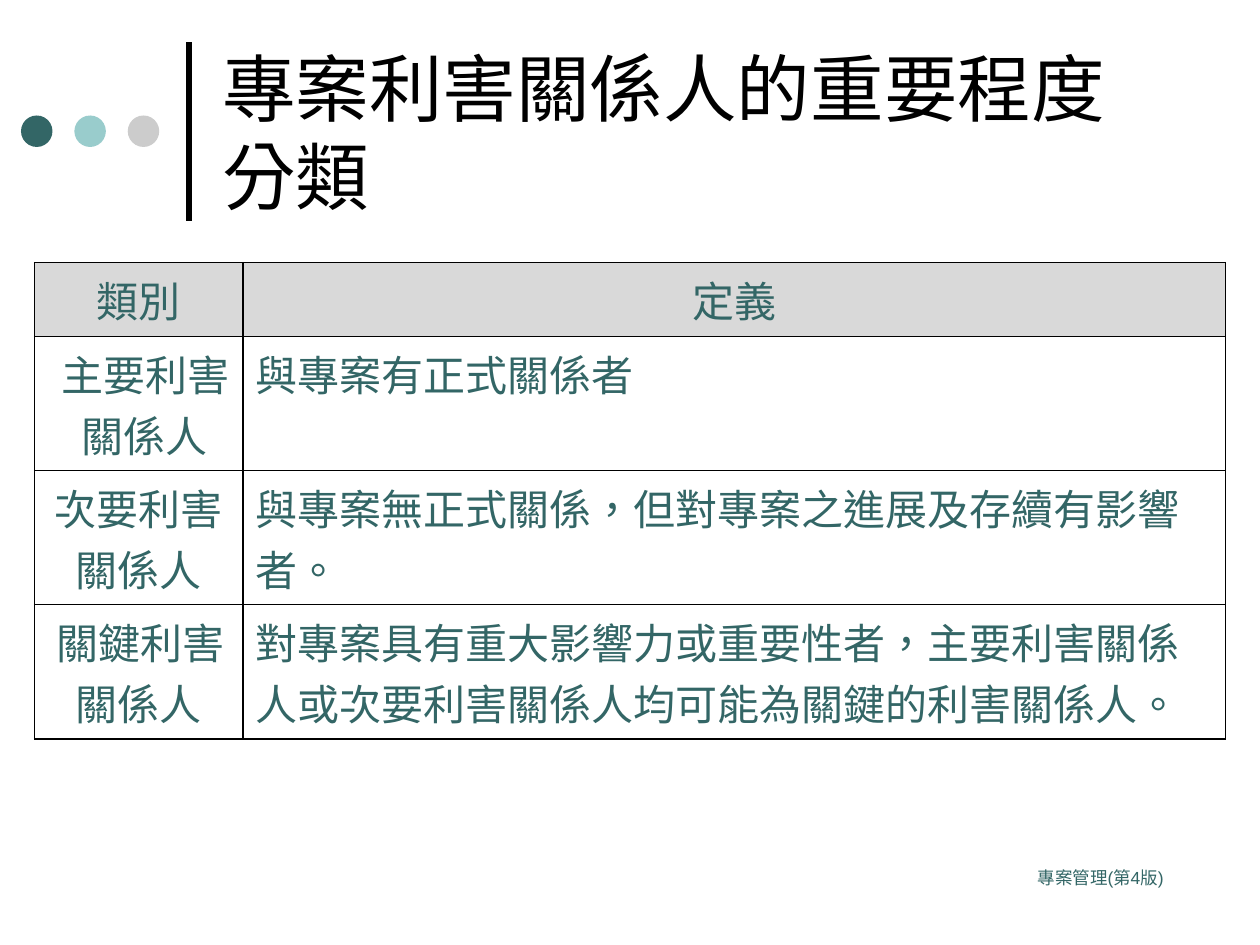
"""Build a slide that sorts project stakeholders by importance."""
from lxml import etree
from pptx import Presentation
from pptx.dml.color import RGBColor
from pptx.enum.lang import MSO_LANGUAGE_ID
from pptx.enum.shapes import MSO_CONNECTOR, MSO_SHAPE
from pptx.enum.text import MSO_ANCHOR, PP_ALIGN
from pptx.oxml.ns import qn
from pptx.util import Pt

LEFT, MID, RIGHT = PP_ALIGN.LEFT, PP_ALIGN.CENTER, PP_ALIGN.RIGHT
TOP, CENTER = MSO_ANCHOR.TOP, MSO_ANCHOR.MIDDLE
OVAL, LINE = MSO_SHAPE.OVAL, MSO_CONNECTOR.STRAIGHT
CHINESE = MSO_LANGUAGE_ID.TRADITIONAL_CHINESE

COLORS = {"ink": "000000", "teal": "336666", "aqua": "99CCCC",
          "gray": "CCCCCC", "head": "D9D9D9"}
TITLE = "專案利害關係人的重要程度分類"
FOOTER = "專案管理(第4版)"
DOTS = ["teal", "aqua", "gray"]
ROWS = [
    [("類別", 27, -27), ("定義", 27, -27)],
    [("主要利害關係人", 6.5, 1.5), ("與專案有正式關係者", 27, -27)],
    [("次要利害關係人", 0, 0),
     ("與專案無正式關係，但對專案之進展及存續有影響者。", 0, 0)],
    [("關鍵利害關係人", 0, 1.5),
     ("對專案具有重大影響力或重要性者，主要利害關係人或次要利害關係人均可能為關鍵的利害關係人。", 0, 0)],
]
WIDTHS = [119, 561.5]
HEIGHTS = [42.2, 76.7, 76.7, 76.7]
SIDES = ["lnL", "lnR", "lnT", "lnB"]


def color(name):
    return RGBColor.from_string(COLORS[name])


def style(para, size, face, ink, align):
    para.alignment = align
    para.font.size = Pt(size)
    para.font.name = face
    para.font.color.rgb = color(ink)
    for run in para.runs:
        run.font.language_id = CHINESE


def add_text(slide, box, text, size, ink, align, anchor):
    frame = slide.shapes.add_textbox(*map(Pt, box)).text_frame
    frame.word_wrap = True
    frame.vertical_anchor = anchor
    para = frame.paragraphs[0]
    para.text = text
    style(para, size, "Arial", ink, align)


def add_marks(slide):
    bar = slide.shapes.add_connector(LINE, Pt(108), Pt(126), Pt(108), Pt(24))
    bar.line.color.rgb = color("ink")
    bar.line.width = Pt(3)
    etree.SubElement(bar._element.spPr, qn("a:effectLst"))
    for i, name in enumerate(DOTS):
        dot = slide.shapes.add_shape(OVAL, Pt(12 + 30.5 * i), Pt(66), Pt(18), Pt(18))
        dot.shadow.inherit = False
        dot.fill.solid()
        dot.fill.fore_color.rgb = color(name)
        dot.line.fill.background()


def add_borders(cell):
    props = cell._tc.get_or_add_tcPr()
    for i, side in enumerate(SIDES):
        edge = etree.Element(qn("a:" + side), w=str(Pt(1)))
        fill = etree.SubElement(edge, qn("a:solidFill"))
        etree.SubElement(fill, qn("a:srgbClr"), val=COLORS["ink"])
        props.insert(i, edge)


def fill_cell(cell, entry, head, first):
    text, margin, indent = entry
    para = cell.text_frame.paragraphs[0]
    para.text = text
    props = para._p.get_or_add_pPr()
    props.set("marL", str(Pt(margin)))
    props.set("indent", str(Pt(indent)))
    style(para, 24, "Times New Roman", "teal", MID if head or first else LEFT)
    cell.vertical_anchor = CENTER if head or first else TOP
    if head:
        cell.fill.solid()
        cell.fill.fore_color.rgb = color("head")
    else:
        cell.fill.background()
    add_borders(cell)


def add_grid(slide):
    box = map(Pt, (19.8, 150, sum(WIDTHS), sum(HEIGHTS)))
    table = slide.shapes.add_table(len(ROWS), len(WIDTHS), *box).table
    table.horz_banding = False
    for col, width in zip(table.columns, WIDTHS):
        col.width = Pt(width)
    for r, row in enumerate(ROWS):
        table.rows[r].height = Pt(HEIGHTS[r])
        for c, entry in enumerate(row):
            fill_cell(table.cell(r, c), entry, r == 0, c == 0)


def main():
    deck = Presentation()
    deck.slide_width, deck.slide_height = Pt(720), Pt(540)
    slide = deck.slides.add_slide(deck.slide_layouts[6])
    add_marks(slide)
    add_text(slide, (522, 492, 150, 36), FOOTER, 10, "teal", RIGHT, TOP)
    add_text(slide, (120, 15, 552, 120), TITLE, 42, "ink", LEFT, CENTER)
    add_grid(slide)
    deck.save("out.pptx")


if __name__ == "__main__":
    main()
